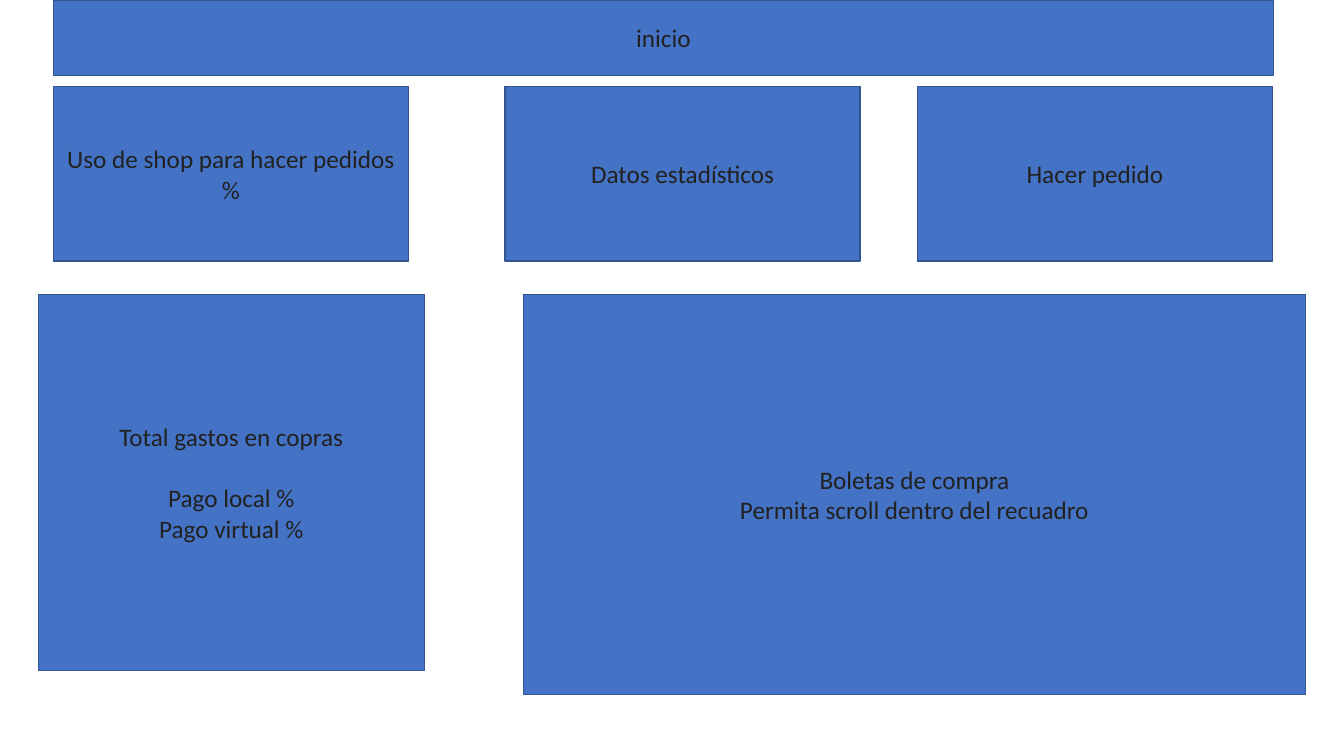
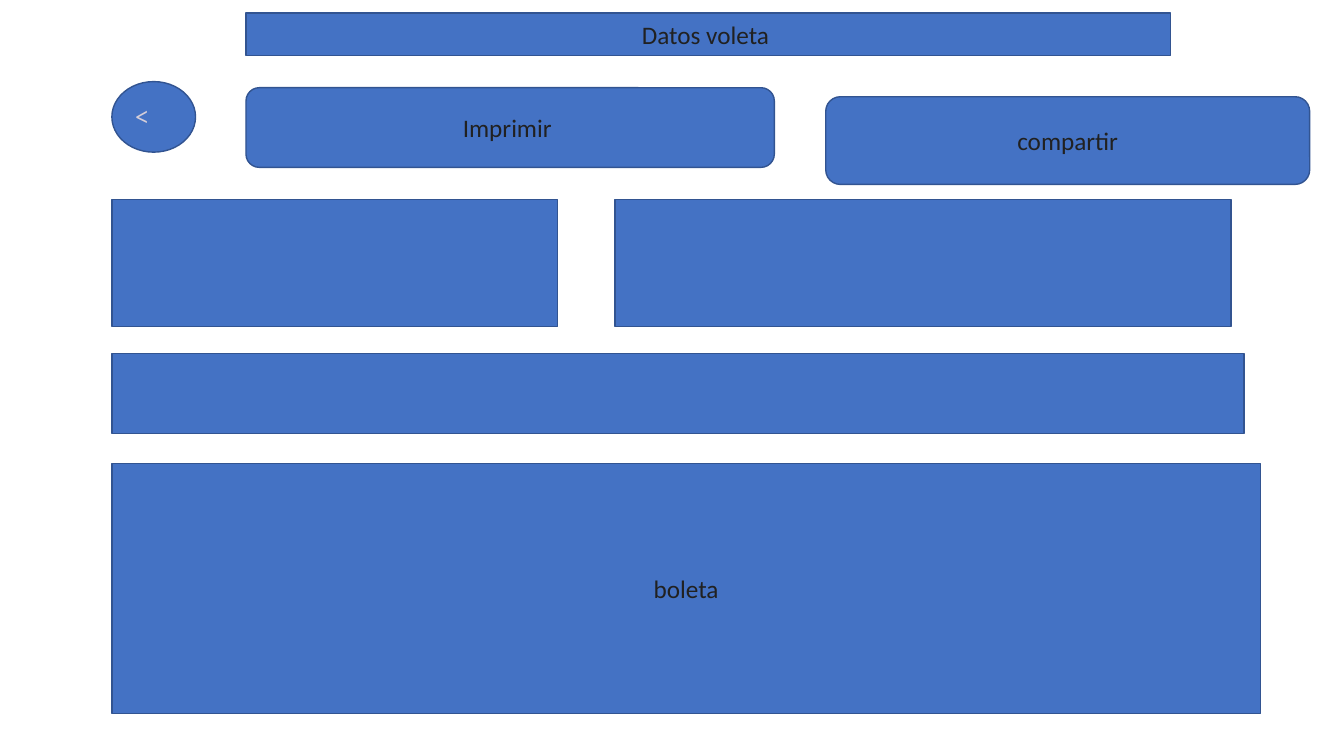
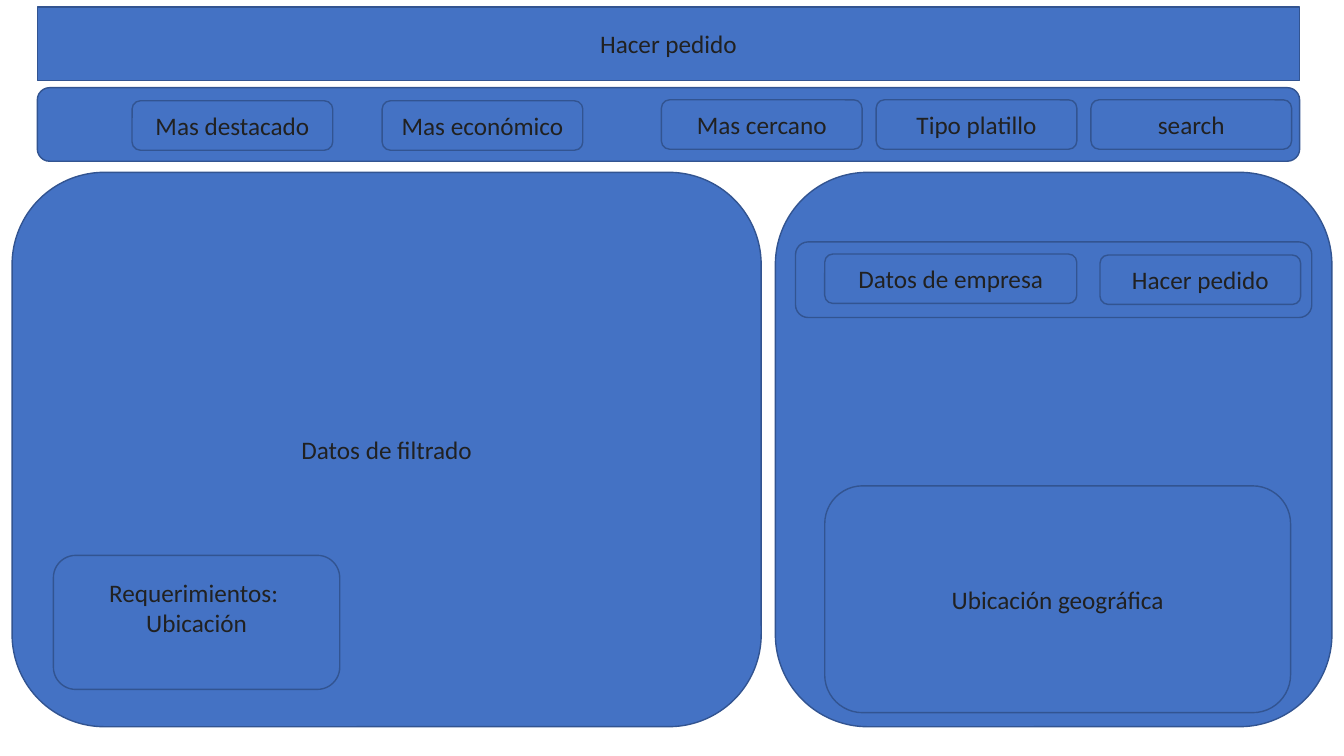
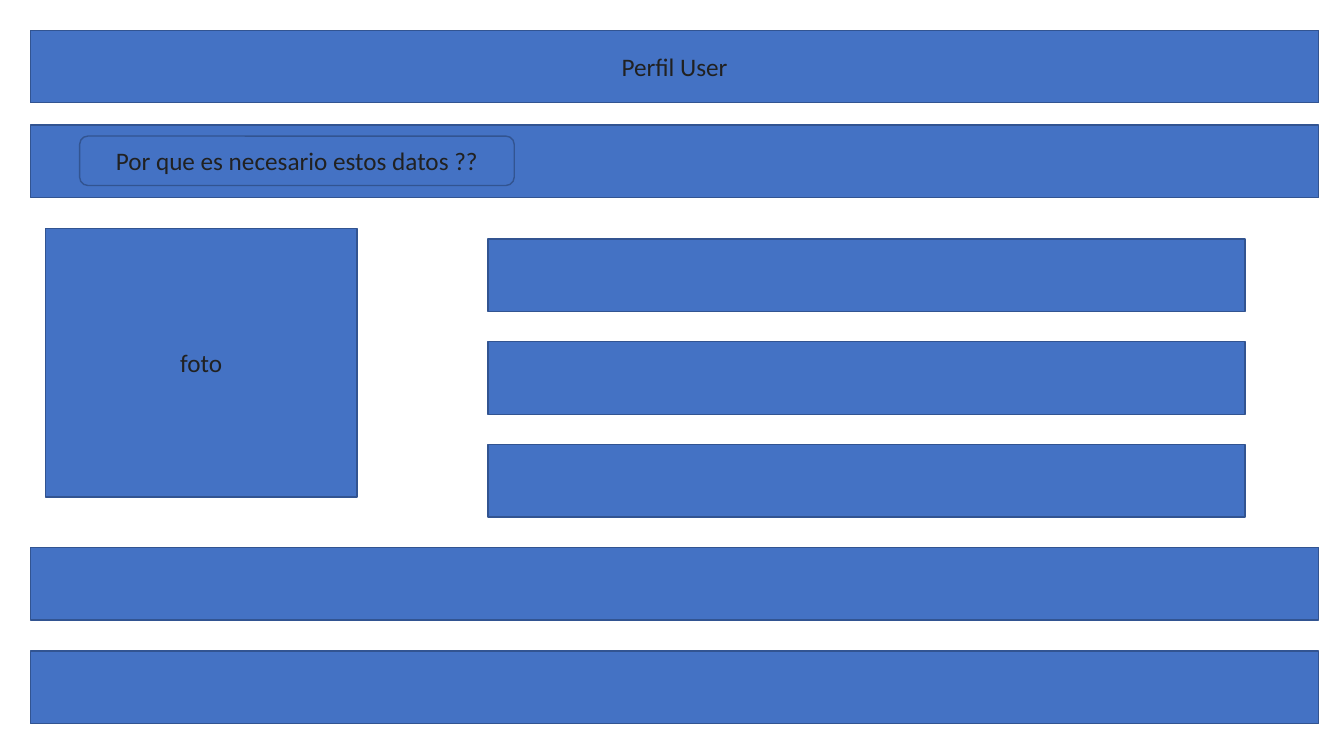
"""Wireframes of an ordering app: home, receipt, order and profile."""
from dataclasses import dataclass

from pptx import Presentation
from pptx.dml.color import RGBColor
from pptx.enum.shapes import MSO_SHAPE as Shape
from pptx.enum.text import MSO_ANCHOR as Anchor, MSO_AUTO_SIZE as AutoSize, PP_ALIGN as Align
from pptx.util import Inches, Pt


@dataclass(frozen=True)
class Theme:
    """Colours, fonts and type sizes shared by every page."""
    fill: RGBColor = RGBColor.from_string("4472C4")
    line: RGBColor = RGBColor.from_string("325491")
    text: RGBColor = RGBColor.from_string("212121")
    pale: RGBColor = RGBColor.from_string("D5CED9")
    font: str = "Calibri"
    mono: str = "Noto Sans Mono"
    size: Pt = Pt(18)
    stroke: Pt = Pt(1)
    blank_line: Pt = Pt(22)


@dataclass(frozen=True)
class Box:
    """A rectangle in inches."""
    left: float
    top: float
    width: float
    height: float

    def inner(self, left, top, width, height):
        """Return a box measured from this one's top left corner."""
        return Box(self.left + left, self.top + top, width, height)

    def repeat(self, count, across=0, down=0):
        """Return equal boxes, stepping by the given pitch."""
        return [self.inner(across * i, down * i, self.width, self.height) for i in range(count)]


THEME = Theme()
PAGE = Box(0, 0, 13.33, 7.5)


def paint(shape):
    """Give a shape the shared fill and outline."""
    shape.fill.solid()
    shape.fill.fore_color.rgb = THEME.fill
    shape.line.color.rgb = THEME.line
    shape.line.width = THEME.stroke


def write(shape, lines, align=Align.CENTER, font=THEME.font, color=THEME.text):
    """Write one paragraph per line, vertically centred."""
    frame = shape.text_frame
    frame.word_wrap = True
    frame.auto_size = AutoSize.NONE
    frame.vertical_anchor = Anchor.MIDDLE
    for index, line in enumerate(lines):
        para = frame.add_paragraph() if index else frame.paragraphs[0]
        para.alignment = align
        span = para.add_run()
        span.text = line
        span.font.name = font
        span.font.size = THEME.size
        span.font.color.rgb = color


def add_panel(page, box, *lines, kind=Shape.RECTANGLE, **style):
    """Draw a panel with optional text."""
    panel = page.shapes.add_shape(
        kind, Inches(box.left), Inches(box.top), Inches(box.width), Inches(box.height))
    panel.shadow.inherit = False
    paint(panel)
    if lines:
        write(panel, lines, **style)
    return panel


def add_rounded(page, box, *lines):
    """Draw a panel with rounded corners."""
    return add_panel(page, box, *lines, kind=Shape.ROUNDED_RECTANGLE)


def add_page(deck, box, heading):
    """Add a page whose title is a filled bar."""
    page = deck.slides.add_slide(deck.slide_layouts[5])
    title = page.shapes.title
    title.left, title.top = Inches(box.left), Inches(box.top)
    title.width, title.height = Inches(box.width), Inches(box.height)
    paint(title)
    write(title, [heading])
    return page


def add_spending(page, box):
    """Draw the spending totals."""
    panel = add_panel(page, box, "Total gastos en copras", "Pago local %", "Pago virtual %")
    panel.text_frame.paragraphs[1].space_before = THEME.blank_line


def build_home(deck, area):
    """Build the home page."""
    page = add_page(deck, area.inner(0.53, 0, 12.1, 0.75), "inicio")
    cards = ((0.53, "Uso de shop para hacer pedidos %"),
             (5.01, "Datos estadísticos"), (9.1, "Hacer pedido"))
    for left, label in cards:
        add_panel(page, area.inner(left, 0.86, 3.52, 1.73), label)
    add_spending(page, area.inner(0.38, 2.92, 3.83, 3.73))
    add_panel(page, area.inner(5.19, 2.92, 7.76, 3.97),
              "Boletas de compra", "Permita scroll dentro del recuadro")


def add_receipt_actions(page, box):
    """Draw the back, print and share buttons."""
    add_panel(page, box.inner(0, 0, 0.83, 0.7), "<", kind=Shape.OVAL,
              align=Align.LEFT, font=THEME.mono, color=THEME.pale)
    add_rounded(page, box.inner(1.33, 0.06, 5.24, 0.79), "Imprimir ")
    add_rounded(page, box.inner(7.08, 0.15, 4.8, 0.87), "compartir")


def add_receipt_body(page, box):
    """Draw the receipt's detail panels."""
    add_panel(page, box.inner(0, 0, 4.42, 1.26))
    add_panel(page, box.inner(4.99, 0, 6.11, 1.26))
    add_panel(page, box.inner(0, 1.53, 11.23, 0.79))
    add_panel(page, box.inner(0, 2.62, box.width, 2.48), "boleta")


def build_receipt(deck, area):
    """Build the receipt page."""
    page = add_page(deck, area.inner(2.44, 0.13, 9.17, 0.42), "Datos voleta ")
    add_receipt_actions(page, area.inner(1.11, 0.81, 11.88, 1.02))
    add_receipt_body(page, area.inner(1.11, 1.98, 11.39, 5.1))


def add_filter_bar(page, box):
    """Draw the bar of filter buttons."""
    add_rounded(page, box)
    filters = ((0.94, 0.13, "Mas destacado"), (3.42, 0.13, "Mas económico"),
               (6.19, 0.12, "Mas cercano"), (8.32, 0.12, "Tipo platillo"),
               (10.45, 0.12, "search"))
    for left, top, label in filters:
        add_rounded(page, box.inner(left, top, 1.99, 0.49), label)


def add_results(page, box):
    """Draw the filtered results with their requirements."""
    add_rounded(page, box, "Datos de filtrado")
    needs = add_rounded(page, box.inner(0.41, 3.8, 2.84, 1.33), "Requerimientos: ", "Ubicación")
    needs.text_frame.margin_bottom = Inches(0.35)


def add_company(page, box):
    """Draw the company panel with its order button and map."""
    add_rounded(page, box)
    add_rounded(page, box.inner(0.2, 0.69, 5.12, 0.75))
    add_rounded(page, box.inner(0.49, 0.81, 2.5, 0.49), "Datos de empresa")
    add_rounded(page, box.inner(3.22, 0.82, 1.99, 0.49), "Hacer pedido")
    add_rounded(page, box.inner(0.49, 3.11, 4.62, 2.25), "Ubicación geográfica")


def build_order(deck, area):
    """Build the order page."""
    page = add_page(deck, area.inner(0.37, 0.07, 12.52, 0.73), "Hacer pedido")
    add_filter_bar(page, area.inner(0.37, 0.87, 12.52, 0.73))
    add_results(page, area.inner(0.12, 1.71, 7.43, 5.5))
    add_company(page, area.inner(7.69, 1.71, 5.52, 5.5))


def add_question(page, box):
    """Draw the bar that holds the question button."""
    add_panel(page, box)
    add_rounded(page, box.inner(0.49, 0.11, 4.31, 0.49), "Por que es necesario estos datos ??")


def build_profile(deck, area):
    """Build the user profile page."""
    bar = area.inner(0.3, 0.3, 12.78, 0.72)
    page = add_page(deck, bar, "Perfil User")
    add_question(page, bar.inner(0, 0.94, bar.width, bar.height))
    add_panel(page, area.inner(0.45, 2.27, 3.09, 2.66), "foto")
    fields = area.inner(4.84, 2.37, 7.51, bar.height).repeat(3, down=1.02)
    wide_fields = bar.inner(0, 5.13, bar.width, bar.height).repeat(2, down=1.03)
    for field in fields + wide_fields:
        add_panel(page, field)


def main():
    """Build and save the deck."""
    deck = Presentation()
    deck.slide_width, deck.slide_height = Inches(PAGE.width), Inches(PAGE.height)
    for build in (build_home, build_receipt, build_order, build_profile):
        build(deck, PAGE)
    deck.save("out.pptx")


if __name__ == "__main__":
    main()
